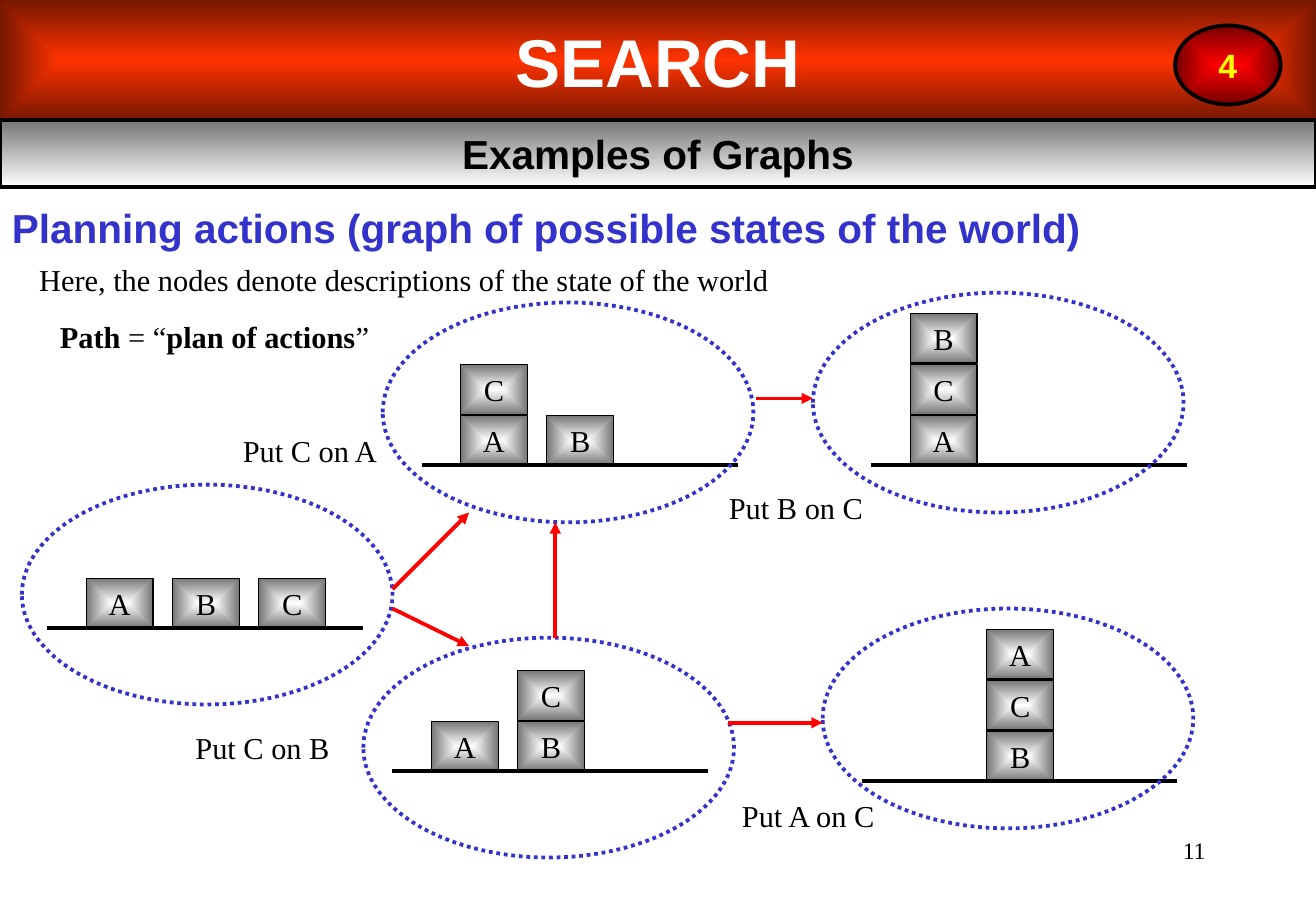
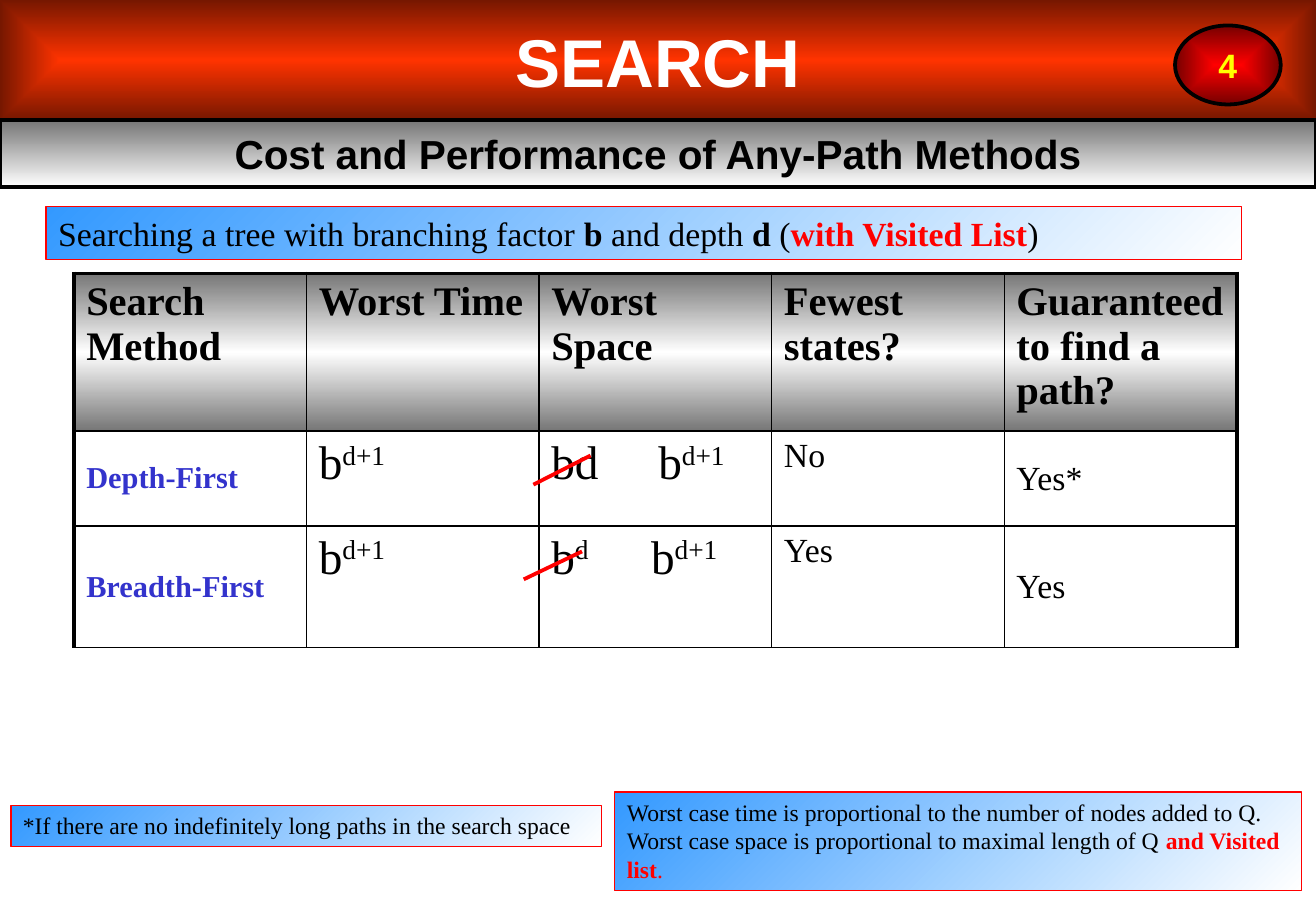
from dataclasses import dataclass

from lxml import etree
from pptx import Presentation
from pptx.dml.color import RGBColor
from pptx.enum.dml import MSO_LINE
from pptx.enum.shapes import MSO_CONNECTOR, MSO_SHAPE
from pptx.enum.text import MSO_ANCHOR, MSO_AUTO_SIZE, PP_ALIGN
from pptx.oxml import parse_xml
from pptx.oxml.ns import nsdecls, qn
from pptx.util import Inches, Pt


@dataclass(frozen=True)
class Theme:
    black: str = "000000"
    white: str = "FFFFFF"
    blue: str = "3333CC"
    red: str = "FF0000"
    orange: str = "FF3300"
    yellow: str = "FFFF00"
    sky: str = "3399FF"
    sans: str = "Arial"
    serif: str = "Times New Roman"
    banner: int = 40
    formula: int = 28
    heading: int = 24
    body: int = 20
    label: int = 18
    note: int = 14
    thick: float = 2.25
    thin: float = 1
    hairline: float = 0.75


T = Theme()
LEFT, CENTER, RIGHT = PP_ALIGN.LEFT, PP_ALIGN.CENTER, PP_ALIGN.RIGHT
DARK = "dark"
BOLD = {"bold": True}
ALERT = {"bold": True, "color": T.red}
SUPER = {"superscript": True}

SLIDE_W, SLIDE_H = 10.83, 7.5
COURSE, CHAPTER = "SEARCH", "4"

BANNER_FILL = ([(0, T.orange, ""), (100, T.orange, DARK)], None)
BADGE_FILL = ([(0, T.red, ""), (100, T.red, DARK)], None)
BLOCK_FILL = ([(0, T.white, ""), (100, T.white, DARK)], None)
TITLE_FILL = ([(0, T.white, DARK), (100, T.white, "")], 90)
HEADER_FILL = ([(0, T.white, DARK), (50, T.white, ""), (100, T.white, DARK)], 90)
NOTE_FILL = ([(0, T.sky, ""), (100, T.white, "")], 45)

BLOCK_W, BLOCK_H = 0.55, 0.41
COLUMN_START, COLUMN_STEP, LEVEL_STEP = 0.32, 0.71, 0.42
GROUND_W = 2.6
OVAL_W, OVAL_H = 3.05, 1.81

GRAPHS = {
    "title": "Examples of Graphs",
    "heading": "Planning actions (graph of possible states of the world)",
    "page": "11",
    "remarks": [
        ((0.22, 2.1, 6.21, 0.4),
         ["Here, the nodes denote descriptions of the state of the world"]),
        ((0.38, 2.57, 2.77, 0.4),
         [("Path", BOLD), " = “", ("plan of actions", BOLD), "”"]),
    ],
    # stacks are read from the ground up
    "worlds": [
        {"ground": (0.39, 5.17), "oval": (0.18, 3.99), "stacks": ["A", "B", "C"]},
        {"ground": (3.47, 3.83), "oval": (3.15, 2.49), "stacks": ["AC", "B"]},
        {"ground": (3.23, 6.35), "oval": (2.99, 5.25), "stacks": ["A", "BC"]},
        {"ground": (7.17, 3.83), "oval": (6.69, 2.41), "stacks": ["ACB"]},
        {"ground": (7.09, 6.43), "oval": (6.77, 5.01), "stacks": ["", "BCA"]},
    ],
    "moves": [
        (3.23, 4.85, 3.86, 4.22),
        (3.23, 5.01, 3.86, 5.32),
        (4.57, 5.25, 4.57, 4.3),
        (6.22, 3.28, 6.69, 3.28),
        (5.99, 5.95, 6.77, 5.95),
    ],
    "actions": [
        ("Put C on A", 1.89, 3.51),
        ("Put C on B", 1.5, 5.95),
        ("Put B on C", 5.89, 3.98),
        ("Put A on C", 5.99, 6.51),
    ],
}

WORST_TIME = ["b", ("d+1", SUPER)]
COSTS = {
    "title": "Cost and Performance of Any-Path Methods",
    "header": ["Search Method", "Worst Time", "Worst Space", "Fewest states?",
               "Guaranteed to find a path?"],
    "methods": [
        [["Depth-First"], WORST_TIME, ["bd\tb", ("d+1", SUPER)], ["No"], ["Yes*"]],
        [["Breadth-First"], WORST_TIME,
         ["b", ("d", SUPER), "\tb", ("d+1", SUPER)], ["Yes"], ["Yes"]],
    ],
    "space_tabs": [0.88, 0.82],
    "row_heights": [1.3, 0.78, 1],
    "strikes": [(4.39, 3.99, 4.86, 3.75), (4.31, 4.77, 4.79, 4.54)],
    "notes": [
        ((0.38, 1.7, 9.84, 0.44), T.body,
         [["Searching a tree with branching factor ", ("b", BOLD), " and depth ",
           ("d ", BOLD), "(", ("with Visited List", ALERT), ")"]]),
        ((0.09, 6.63, 4.86, 0.34), T.note,
         [["*If there are no indefinitely long paths in the search space"]]),
        ((5.06, 6.52, 5.65, 0.81), T.note,
         [["Worst case time is proportional to the number of nodes added to Q."],
          ["Worst case space is proportional to maximal length of Q ",
           ("and Visited list", ALERT), (".", {"color": T.red})]]),
    ],
}


def box(*lengths):
    return [Inches(length) for length in lengths]


def write(frame, paragraphs, size, color=T.black, font=T.serif, bold=False,
          align=LEFT, anchor=MSO_ANCHOR.TOP, wrap=True):
    frame.word_wrap = wrap
    frame.vertical_anchor = anchor
    for index, pieces in enumerate(paragraphs):
        paragraph = frame.paragraphs[0] if index == 0 else frame.add_paragraph()
        paragraph.alignment = align
        for piece in pieces:
            text, style = (piece, {}) if isinstance(piece, str) else piece
            run = paragraph.add_run()
            run.text = text
            run.font.name = font
            run.font.size = Pt(size)
            run.font.bold = style.get("bold", bold)
            run.font.color.rgb = RGBColor.from_string(style.get("color", color))
            if style.get("superscript"):
                run._r.get_or_add_rPr().set("baseline", "30000")


def paint(target, element, gradient):
    stops, angle = gradient
    shade = '<a:gamma/><a:shade val="46275"/><a:invGamma/>'
    stop_xml = "".join(
        f'<a:gs pos="{pos * 1000}"><a:srgbClr val="{color}">'
        f'{shade if tone == DARK else ""}</a:srgbClr></a:gs>'
        for pos, color, tone in stops)
    if angle is None:
        direction = ('<a:path path="shape"><a:fillToRect l="50000" t="50000" '
                     'r="50000" b="50000"/></a:path>')
    else:
        direction = f'<a:lin ang="{angle * 60000}" scaled="1"/>'
    target.fill.gradient()
    blank = next(element.iter(qn("a:gradFill")))
    blank.getparent().replace(blank, parse_xml(
        f'<a:gradFill {nsdecls("a")} rotWithShape="1">'
        f'<a:gsLst>{stop_xml}</a:gsLst>{direction}</a:gradFill>'))


def outline(shape, color, width):
    shape.line.color.rgb = RGBColor.from_string(color)
    shape.line.width = Pt(width)


def add_shape(slide, preset, place, gradient=None, line=None):
    shape = slide.shapes.add_shape(preset, *box(*place))
    shape.shadow.inherit = False
    if gradient:
        paint(shape, shape.element, gradient)
    else:
        shape.fill.background()
    if line:
        outline(shape, *line)
    else:
        shape.line.fill.background()
    return shape


def add_label(slide, place, pieces, size, **style):
    label = slide.shapes.add_textbox(*box(*place))
    write(label.text_frame, [pieces], size, **style)


def add_line(slide, ends, color, arrow=False):
    line = slide.shapes.add_connector(MSO_CONNECTOR.STRAIGHT, *box(*ends))
    outline(line, color, T.thick)
    properties = line.element.spPr
    if arrow:
        etree.SubElement(properties.find(qn("a:ln")), qn("a:tailEnd"), type="triangle")
    etree.SubElement(properties, qn("a:effectLst"))


def add_slide(deck, heading):
    slide = deck.slides.add_slide(deck.slide_layouts[5])
    title = slide.shapes.title
    title.left, title.top, title.width, title.height = box(0, 0.99, SLIDE_W, 0.55)
    paint(title, title.element, TITLE_FILL)
    outline(title, T.black, T.thick)
    title.text_frame.auto_size = MSO_AUTO_SIZE.NONE
    centred = {"font": T.sans, "bold": True, "align": CENTER,
               "anchor": MSO_ANCHOR.MIDDLE}
    write(title.text_frame, [[heading]], T.heading, **centred)
    banner = add_shape(slide, MSO_SHAPE.RECTANGLE, (0, 0, SLIDE_W, 0.99), BANNER_FILL)
    write(banner.text_frame, [[COURSE]], T.banner, color=T.white, **centred)
    title.element.addprevious(banner.element)
    badge = add_shape(slide, MSO_SHAPE.OVAL, (9.67, 0.21, 0.87, 0.65), BADGE_FILL,
                      (T.black, T.thick))
    write(badge.text_frame, [[CHAPTER]], T.body, color=T.yellow, wrap=False, **centred)
    return slide


def draw_world(slide, world):
    left, floor = world["ground"]
    for column, stack in enumerate(world["stacks"]):
        for level, letter in enumerate(stack):
            place = (left + COLUMN_START + column * COLUMN_STEP,
                     floor - BLOCK_H - level * LEVEL_STEP, BLOCK_W, BLOCK_H)
            block = add_shape(slide, MSO_SHAPE.RECTANGLE, place, BLOCK_FILL,
                              (T.black, T.hairline))
            write(block.text_frame, [[letter]], T.label, align=CENTER,
                  anchor=MSO_ANCHOR.MIDDLE)
    add_line(slide, (left, floor, left + GROUND_W, floor), T.black)
    oval = add_shape(slide, MSO_SHAPE.OVAL, (*world["oval"], OVAL_W, OVAL_H),
                     line=(T.blue, T.thick))
    oval.line.dash_style = MSO_LINE.ROUND_DOT


def build_graphs(deck):
    slide = add_slide(deck, GRAPHS["title"])
    add_label(slide, (7.76, 6.83, 2.26, 0.5), [GRAPHS["page"]], T.note, align=RIGHT)
    add_label(slide, (0, 1.62, 10.32, 0.5), [GRAPHS["heading"]], T.heading,
              color=T.blue, font=T.sans, bold=True)
    for world in GRAPHS["worlds"]:
        draw_world(slide, world)
    for move in GRAPHS["moves"]:
        add_line(slide, move, T.red, arrow=True)
    for action, left, top in GRAPHS["actions"]:
        add_label(slide, (left, top, 1.32, 0.4), [action], T.label, align=CENTER)
    for place, pieces in GRAPHS["remarks"]:
        add_label(slide, place, pieces, T.label, align=CENTER, wrap=False)


def set_borders(cell, widths):
    properties = cell._tc.get_or_add_tcPr()
    for index, (side, width) in enumerate(zip("LRTB", widths)):
        properties.insert(index, parse_xml(
            f'<a:ln{side} {nsdecls("a")} w="{Pt(width)}"><a:solidFill>'
            f'<a:srgbClr val="{T.black}"/></a:solidFill></a:ln{side}>'))


def set_tab(paragraph, position):
    properties = paragraph._p.get_or_add_pPr()
    tabs = etree.SubElement(properties, qn("a:tabLst"))
    etree.SubElement(tabs, qn("a:tab"), pos=str(Inches(position)), algn="l")


def build_costs(deck):
    slide = add_slide(deck, COSTS["title"])
    rows = [[[name] for name in COSTS["header"]]] + COSTS["methods"]
    last = len(COSTS["header"]) - 1
    table = slide.shapes.add_table(len(rows), last + 1, *box(0.61, 2.25, 9.57, 3.08)).table
    table.first_row = table.horz_banding = False
    middle = {"anchor": MSO_ANCHOR.MIDDLE}
    column_styles = [{"size": T.label, "color": T.blue, "bold": True, **middle},
                     {"size": T.formula}, {"size": T.formula},
                     {"size": T.body}, {"size": T.body, **middle}]
    for r, row in enumerate(rows):
        table.rows[r].height = Inches(COSTS["row_heights"][r])
        for c, pieces in enumerate(row):
            cell = table.cell(r, c)
            if r == 0:
                style = {"size": T.heading, "bold": True}
                paint(cell, cell._tc, HEADER_FILL)
            else:
                style = dict(column_styles[c])
                cell.fill.solid()
                cell.fill.fore_color.rgb = RGBColor.from_string(T.white)
                if c == 2:
                    set_tab(cell.text_frame.paragraphs[0], COSTS["space_tabs"][r - 1])
            cell.vertical_anchor = style.pop("anchor", MSO_ANCHOR.TOP)
            write(cell.text_frame, [pieces], **style)
            set_borders(cell, [T.thick if outer else T.thin
                               for outer in (c == 0, c == last, r == 0, False)])
    for place, size, paragraphs in COSTS["notes"]:
        note = add_shape(slide, MSO_SHAPE.RECTANGLE, place, NOTE_FILL,
                         (T.red, T.hairline))
        write(note.text_frame, paragraphs, size)
    for strike in COSTS["strikes"]:
        add_line(slide, strike, T.red)


def main():
    deck = Presentation()
    deck.slide_width, deck.slide_height = box(SLIDE_W, SLIDE_H)
    build_graphs(deck)
    build_costs(deck)
    deck.save("out.pptx")


if __name__ == "__main__":
    main()
